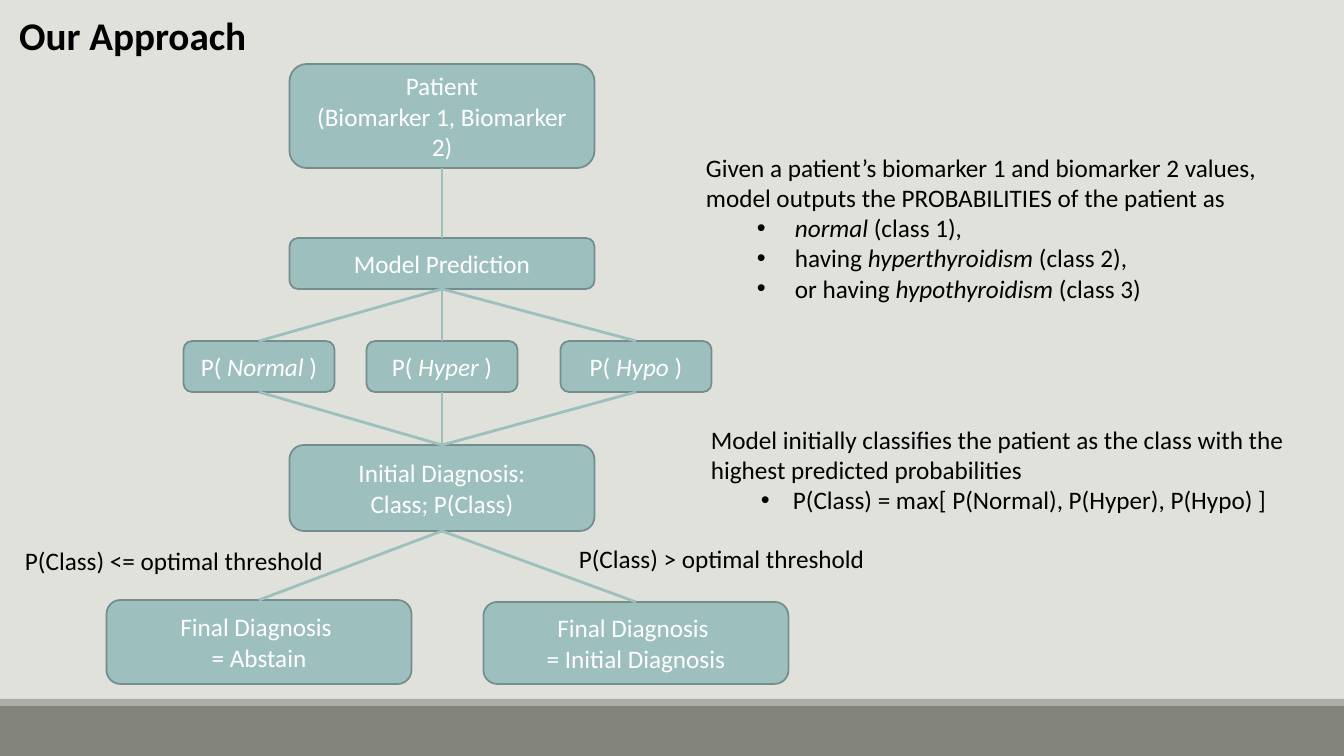
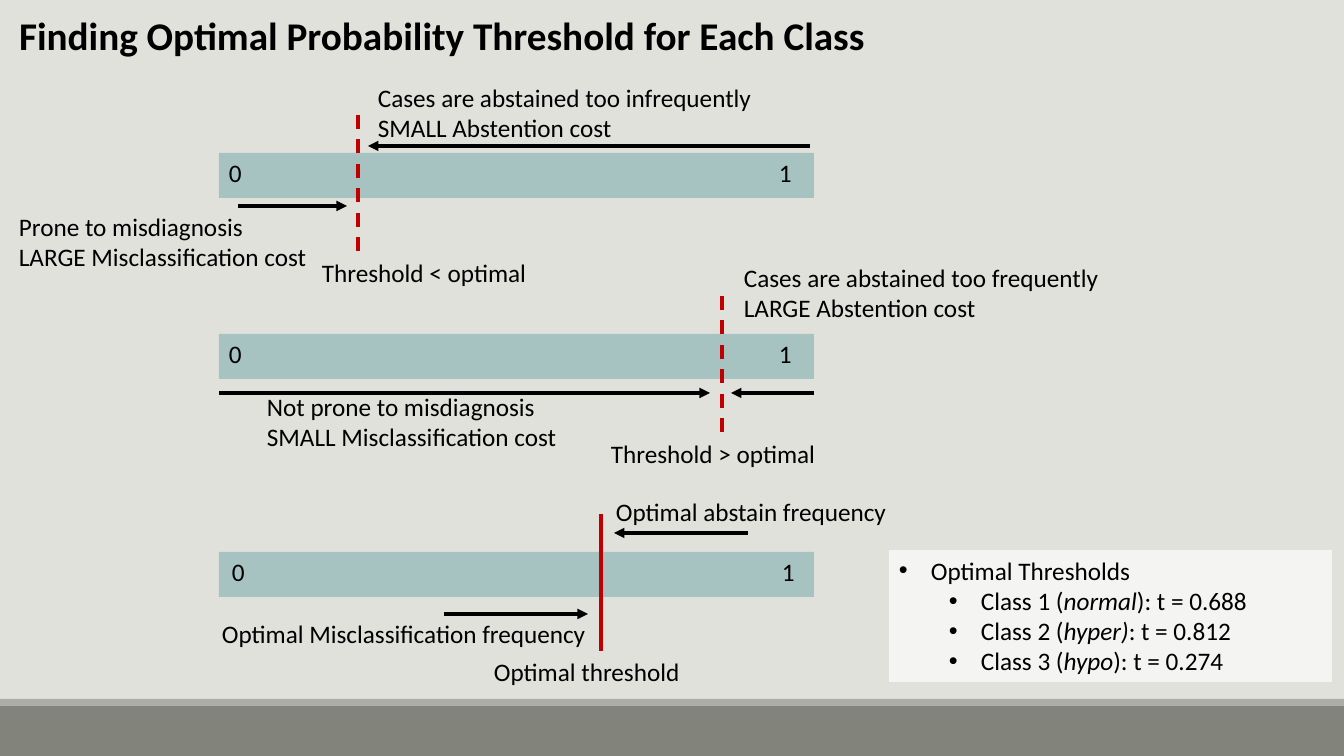
from dataclasses import dataclass

from lxml import etree
from pptx import Presentation
from pptx import util as u
from pptx.dml.color import RGBColor
from pptx.enum import dml, shapes, text
from pptx.oxml.ns import qn


@dataclass(frozen=True)
class Theme:
    """Colours, type sizes and line widths of the deck."""
    font: str = "Calibri"
    title_size: int = 28
    body_size: int = 18
    ground: str = "E1E1DB"
    footer: str = "82847C"
    footer_edge: str = "ACADA8"
    teal: str = "9DBFBE"
    teal_edge: str = "748D8D"
    red: str = "C00000"
    ink: str = "000000"
    white: str = "FFFFFF"
    node_edge_width: float = 1.25
    link_width: float = 2
    mark_width: float = 2.5


@dataclass(frozen=True)
class Bullet:
    """A bulleted line; *stars* set italics, lengths are pixels."""
    words: str
    indent: int = 82
    hang: int = 32
    level: int = 1


THEME = Theme()
WIDTH, HEIGHT = 1344, 756
LEFT, CENTER = text.PP_ALIGN.LEFT, text.PP_ALIGN.CENTER
TOP, MIDDLE = text.MSO_ANCHOR.TOP, text.MSO_ANCHOR.MIDDLE


def px(length):
    """Turn pixels into EMU."""
    return u.Emu(round(length * 914400 / 100.8))


def assign(target, **values):
    """Set every given attribute on the target."""
    for name, value in values.items():
        setattr(target, name, value)


def rgb(code):
    """Turn a hex code into a colour."""
    return RGBColor.from_string(code)


def write(frame, lines, color=THEME.ink, size=THEME.body_size, bold=None,
          align=LEFT, anchor=TOP, wrap=True):
    """Fill a text frame with plain lines and bullets."""
    assign(frame, word_wrap=wrap, auto_size=text.MSO_AUTO_SIZE.NONE,
           vertical_anchor=anchor)
    for index, line in enumerate(lines):
        paragraph = frame.add_paragraph() if index else frame.paragraphs[0]
        paragraph.alignment = align
        words = line
        if isinstance(line, Bullet):
            words, paragraph.level = line.words, line.level
            props = paragraph._p.get_or_add_pPr()
            props.set("marL", str(px(line.indent)))
            props.set("indent", str(-px(line.hang)))
            etree.SubElement(props, qn("a:buFont"), typeface="Arial")
            etree.SubElement(props, qn("a:buChar"), char="•")
        for part, piece in enumerate(words.split("*")):
            if piece:
                run = paragraph.add_run()
                run.text = piece
                assign(run.font, name=THEME.font, size=u.Pt(size), bold=bold,
                       italic=part % 2 == 1)
                run.font.color.rgb = rgb(color)


def label(slide, left, top, width, height, *lines, **style):
    """Place a text box."""
    box = slide.shapes.add_textbox(*map(px, (left, top, width, height)))
    write(box.text_frame, lines, **style)


def panel(slide, left, top, width, height, fill, edge=None, opacity=None,
          kind=shapes.MSO_SHAPE.RECTANGLE):
    """Place a filled shape without a shadow."""
    shape = slide.shapes.add_shape(kind, *map(px, (left, top, width, height)))
    shape.shadow.inherit = False
    shape.fill.solid()
    shape.fill.fore_color.rgb = rgb(fill)
    if opacity:
        tint = shape.element.spPr.find(qn("a:solidFill"))[0]
        etree.SubElement(tint, qn("a:alpha"), val=str(opacity * 1000))
    if edge:
        shape.line.color.rgb = rgb(edge)
        shape.line.width = u.Pt(THEME.node_edge_width)
    else:
        shape.line.fill.background()
    return shape


def stroke(slide, start, end, color, width=THEME.mark_width, dash=None,
           arrow=False):
    """Draw a straight line, with an arrowhead at its end if asked."""
    line = slide.shapes.add_connector(shapes.MSO_CONNECTOR.STRAIGHT,
                                      *map(px, (*start, *end)))
    line.line.color.rgb = rgb(color)
    assign(line.line, width=u.Pt(width), dash_style=dash)
    if arrow:
        etree.SubElement(line.line._get_or_add_ln(), qn("a:tailEnd"),
                         type="triangle")
    etree.SubElement(line.element.spPr, qn("a:effectLst"))
    return line


def furnish(slide):
    """Move the footer bands onto the layout that all slides share."""
    layout = slide.slide_layout
    layout.background.fill.solid()
    layout.background.fill.fore_color.rgb = rgb(THEME.ground)
    bands = ((706, 50, THEME.footer), (699, 7, THEME.footer_edge))
    for position, (top, height, color) in enumerate(bands, start=2):
        band = panel(slide, 0, top, WIDTH, height, color)
        layout.shapes.element.insert(position, band.element)


def titled_slide(deck, heading):
    """Add a title-only slide with its heading."""
    slide = deck.slides.add_slide(deck.slide_layouts[5])
    assign(slide.shapes.title, left=px(9), top=px(6), width=px(1198),
           height=px(57))
    write(slide.shapes.title.text_frame, [heading], size=THEME.title_size,
          bold=True)
    return slide


def flowchart(slide, left, top):
    """Draw the diagnosis flow from patient to final diagnosis."""
    low, mid, high = 153, 336, 530
    wide, narrow = 305, 151
    steps = {
        "patient": (mid, 0, wide, 104,
                    ["Patient", "(Biomarker 1, Biomarker 2)"]),
        "model": (mid, 174, wide, 51, ["Model Prediction"]),
        "normal": (low, 277, narrow, 51, ["P( *Normal *)"]),
        "hyper": (mid, 277, narrow, 51, ["P( *Hyper *)"]),
        "hypo": (high, 277, narrow, 51, ["P( *Hypo *)"]),
        "initial": (mid, 381, wide, 86,
                    ["Initial Diagnosis:", "Class; P(Class)"]),
        "abstain": (low, 536, wide, 84, ["Final Diagnosis ", "= Abstain"]),
        "accept": (high, 538, wide, 82,
                   ["Final Diagnosis ", "= Initial Diagnosis"]),
    }
    nodes = {}
    for step, (center, drop, width, height, lines) in steps.items():
        nodes[step] = panel(slide, left + center - width / 2, top + drop,
                            width, height, THEME.teal, THEME.teal_edge,
                            kind=shapes.MSO_SHAPE.ROUNDED_RECTANGLE)
        write(nodes[step].text_frame, lines, color=THEME.white, align=CENTER,
              anchor=MIDDLE)

    classes = ("normal", "hyper", "hypo")
    links = [("patient", "model"), ("initial", "abstain"),
             ("initial", "accept")]
    links += [("model", name) for name in classes]
    links += [(name, "initial") for name in classes]
    for parent, child in links:
        link = stroke(slide, (0, 0), (0, 0), THEME.teal, THEME.link_width)
        link.begin_connect(nodes[parent], 2)
        link.end_connect(nodes[child], 0)

    for x, y, width, rule in ((-93, 476, 322, "P(Class) <= optimal threshold"),
                              (461, 474, 309, "P(Class) > optimal threshold")):
        label(slide, left + x, top + y, width, 40, rule, align=CENTER,
              wrap=False)


def probability_scale(slide, left, top, threshold, caption, arrows, notes,
                      dash=None, digit_shift=0):
    """Draw a 0-1 bar with its threshold; parts are relative to the bar."""
    panel(slide, left, top, 595, 45, THEME.teal, opacity=86)
    for x, digit in ((550, "1"), (0, "0")):
        label(slide, left + x + digit_shift, top - 1, 41, 40, digit)
    mark = left + threshold
    stroke(slide, (mark, top - 38), (mark, top + 99), THEME.red, dash=dash)
    caption_left, words = caption
    label(slide, left + caption_left, top + 99, 288, 40, words)
    for start, end, y in arrows:
        stroke(slide, (left + start, top + y), (left + end, top + y),
               THEME.ink, arrow=True)
    for x, y, width, lines in notes:
        label(slide, left + x, top + y, width, 72, *lines)


def approach_slide(deck):
    """Build the slide on the overall approach."""
    slide = titled_slide(deck, "Our Approach")
    furnish(slide)
    flowchart(slide, 106, 64)
    label(slide, 696, 147, 635, 163,
          "Given a patient’s biomarker 1 and biomarker 2 values, model "
          "outputs the PROBABILITIES of the patient as ",
          Bullet("*normal *(class 1), ", 89, 38),
          Bullet("having\u00a0*hyperthyroidism*\u00a0(class 2), ", 89, 38),
          Bullet("or having\u00a0*hypothyroidism*\u00a0(class 3)", 89, 38))
    label(slide, 701, 419, 672 - 30, 132,
          "Model initially classifies the patient as the class with the "
          "highest predicted probabilities",
          Bullet("P(Class) = max[ P(Normal), P(Hyper), P(Hypo) ]"))


def threshold_slide(deck):
    """Build the slide that compares three thresholds."""
    slide = titled_slide(
        deck, "Finding Optimal Probability Threshold for Each Class")
    bar_left, dashed = 219, dml.MSO_LINE.DASH
    probability_scale(
        slide, bar_left, 153, 139, (93, "Threshold < optimal"),
        arrows=[(591, 149, -7), (19, 128, 53)],
        notes=[(-210, 53, 326, ["Prone to misdiagnosis",
                                "LARGE Misclassification cost"]),
               (149, -76, 414, ["Cases are abstained too infrequently ",
                                "SMALL Abstention cost"])],
        dash=dashed)
    probability_scale(
        slide, bar_left, 334, 503, (382, "Threshold > optimal"),
        arrows=[(0, 491, 59), (595, 512, 59)],
        notes=[(38, 52, 326, ["Not prone to misdiagnosis",
                              "SMALL Misclassification cost"]),
               (515, -77, 414, ["Cases are abstained too frequently "
                                "LARGE Abstention cost"])],
        dash=dashed)
    probability_scale(
        slide, bar_left, 552, 382, (265, "Optimal threshold"),
        arrows=[(225, 369, 62), (529, 395, -19)],
        notes=[(387, -61, 414, ["Optimal abstain frequency"]),
               (-7, 61, 414, ["Optimal Misclassification frequency"])],
        digit_shift=3)
    results = panel(slide, 889, 550, 443, 132, THEME.white, opacity=64)
    write(results.text_frame, [
        Bullet("Optimal Thresholds", indent=32, level=0),
        Bullet("Class 1 (*normal*): t = 0.688 "),
        Bullet("Class 2 (*hyper)*: t = 0.812 "),
        Bullet("Class 3 (*hypo*): t = 0.274")])


def main():
    """Build and save the deck."""
    deck = Presentation()
    assign(deck, slide_width=px(WIDTH), slide_height=px(HEIGHT))
    approach_slide(deck)
    threshold_slide(deck)
    deck.save("out.pptx")


main()
